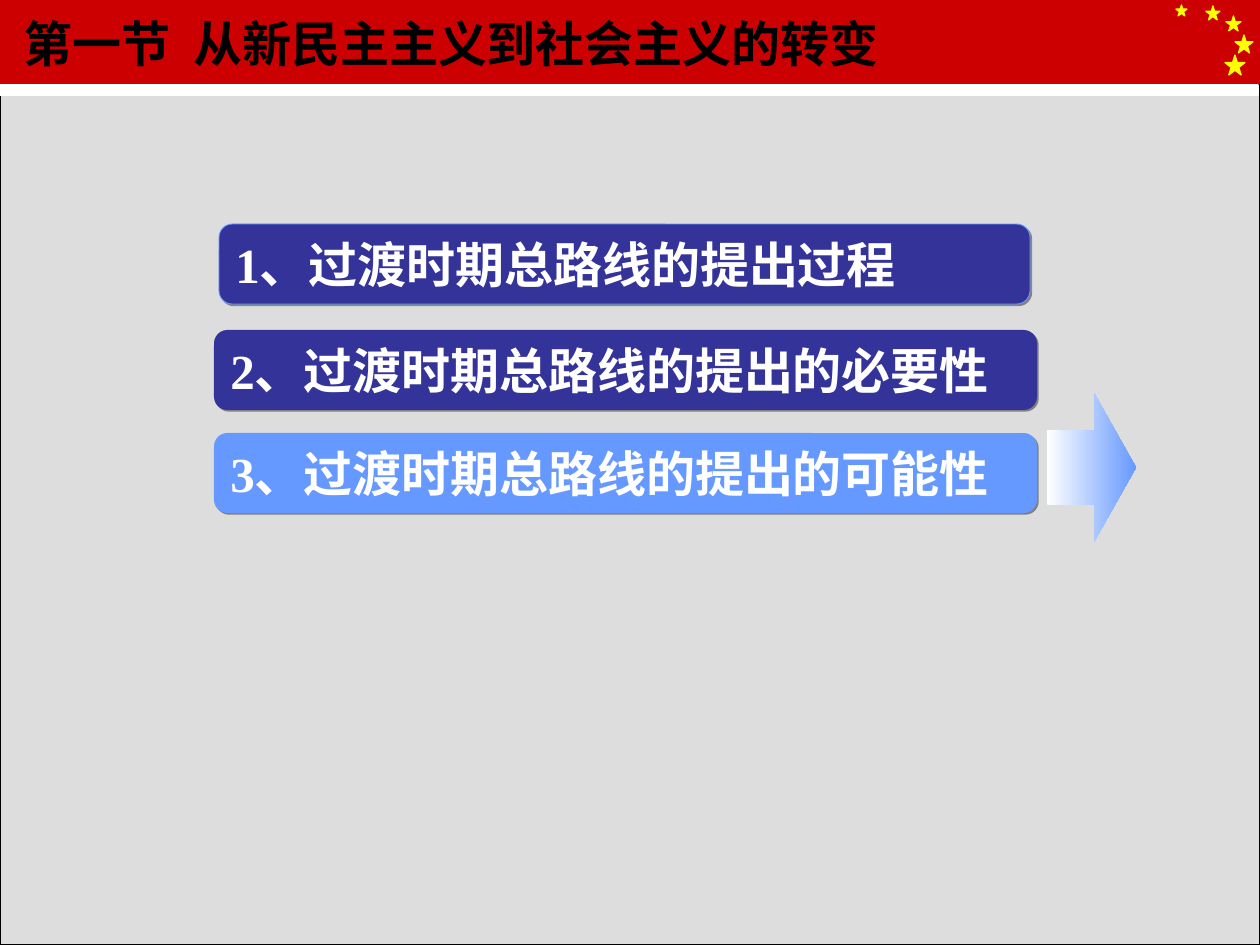
from lxml import etree
from pptx import Presentation
from pptx.dml.color import RGBColor
from pptx.enum.shapes import MSO_SHAPE
from pptx.enum.text import MSO_ANCHOR, PP_ALIGN
from pptx.oxml.ns import qn
from pptx.util import Pt

PX = 914400 / 126
FONT = "Times New Roman"

RECT = MSO_SHAPE.RECTANGLE
ROUNDED = MSO_SHAPE.ROUNDED_RECTANGLE
STAR = MSO_SHAPE.STAR_5_POINT
ARROW = MSO_SHAPE.RIGHT_ARROW
LEFT = PP_ALIGN.LEFT
MIDDLE = MSO_ANCHOR.MIDDLE

BACKGROUND = RGBColor(0xEA, 0xEA, 0xEA)
PANEL = RGBColor(0xDD, 0xDD, 0xDD)
RED = RGBColor(0xCC, 0x00, 0x00)
YELLOW = RGBColor(0xFF, 0xFF, 0x00)
WHITE = RGBColor(0xFF, 0xFF, 0xFF)
BLACK = RGBColor(0x00, 0x00, 0x00)
NAVY = RGBColor(0x33, 0x33, 0x99)
SKY = RGBColor(0x66, 0x99, 0xFF)

# left, top, size
STARS = [(1225, 55, 20), (1206, 6, 14), (1176, 5, 11), (1226, 16, 15), (1235, 35, 18)]

# text, left, top, width, fill, outline
TOPICS = [
    ("1、过渡时期总路线的提出过程", 219, 224, 811, NAVY, SKY),
    ("2、过渡时期总路线的提出的必要性", 214, 330, 823, NAVY, None),
    ("3、过渡时期总路线的提出的可能性", 214, 433, 823, SKY, None),
]
TOPIC_HEIGHT = 80


def px(*lengths):
    return [round(length * PX) for length in lengths]


def add_figure(slide, preset, box, fill=None, outline=None, weight=0.75):
    figure = slide.shapes.add_shape(preset, *px(*box))
    figure.shadow.inherit = False
    if fill is not None:
        figure.fill.solid()
        figure.fill.fore_color.rgb = fill
    if outline is None:
        figure.line.fill.background()
    else:
        figure.line.color.rgb = outline
        figure.line.width = Pt(weight)
    return figure


def write_line(holder, text, color, tab_stop=None):
    frame = holder.text_frame
    frame.word_wrap = True
    frame.vertical_anchor = MIDDLE
    frame.text = text
    paragraph = frame.paragraphs[0]
    paragraph.alignment = LEFT
    if tab_stop is not None:
        tabs = etree.SubElement(paragraph._p.get_or_add_pPr(), qn("a:tabLst"))
        etree.SubElement(tabs, qn("a:tab"), pos=str(px(tab_stop)[0]), algn="l")
    font = paragraph.runs[0].font
    font.name = FONT
    font.size = Pt(28)
    font.bold = True
    font.color.rgb = color


def add_drop_shadow(figure):
    effects = figure._element.spPr.find(qn("a:effectLst"))
    shadow = etree.SubElement(effects, qn("a:outerShdw"), dist=str(Pt(1.4)),
                              dir="2700000", algn="ctr", rotWithShape="0")
    etree.SubElement(shadow, qn("a:srgbClr"), val="808080")


def add_topic(slide, text, left, top, width, fill, outline):
    bar = add_figure(slide, ROUNDED, (left, top, width, TOPIC_HEIGHT), fill, outline, 0.5)
    add_drop_shadow(bar)
    write_line(bar, text, WHITE)


def add_fading_arrow(slide):
    arrow = add_figure(slide, ARROW, (1047, 393, 89, 149))
    arrow.adjustments[1] = 0.47
    arrow.fill.gradient()
    arrow.fill.gradient_angle = 0
    for stop, position, color in zip(arrow.fill.gradient_stops, (0, 1), (WHITE, SKY)):
        stop.position = position
        stop.color.rgb = color


def add_backdrop(slide):
    slide.background.fill.solid()
    slide.background.fill.fore_color.rgb = BACKGROUND
    add_figure(slide, RECT, (0, 0, 1260, 85), RED)
    for left, top, size in STARS:
        add_figure(slide, STAR, (left, top, size, size), YELLOW, YELLOW)
    add_figure(slide, RECT, (0, 85, 1260, 860), PANEL, BLACK)
    add_figure(slide, RECT, (0, 85, 1258, 10), WHITE, WHITE)


def add_title(slide):
    title = slide.shapes.add_textbox(*px(11, 0, 987, 86))
    write_line(title, "第一节\t从新民主主义到社会主义的转变", BLACK, tab_stop=170)


def main():
    deck = Presentation()
    deck.slide_width, deck.slide_height = px(1260, 945)
    slide = deck.slides.add_slide(deck.slide_layouts[6])
    add_backdrop(slide)
    for topic in TOPICS:
        add_topic(slide, *topic)
    add_fading_arrow(slide)
    add_title(slide)
    deck.save("out.pptx")


if __name__ == "__main__":
    main()
